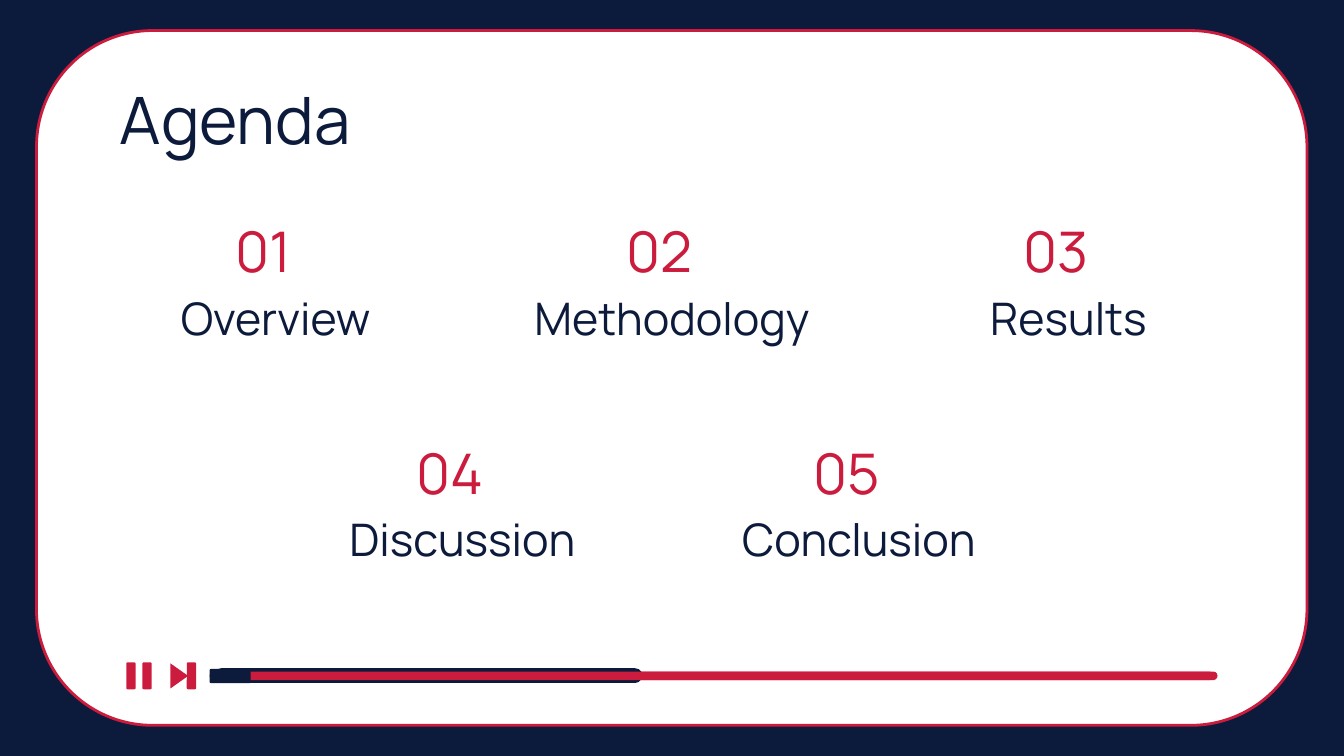
from pptx import Presentation
from pptx.dml.color import RGBColor
from pptx.enum.shapes import MSO_SHAPE as SHAPE
from pptx.enum.text import MSO_ANCHOR as ANCHOR, MSO_AUTO_SIZE as AUTO, PP_ALIGN as ALIGN
from pptx.util import Pt

NAVY, RED, WHITE = "0C1A3C", "CB1C3E", "FFFFFF"
FONT = "Manrope"
INSET = 7.2
COLUMN_PITCH = 212.4
# left edge of the first label, top of the number, labels
ROWS = [
    (56.9, 116.6, ["Overview", "Methodology", "Results"]),
    (157, 235.4, ["Discussion", "Conclusion"]),
]


def paint(fill, color):
    fill.solid()
    fill.fore_color.rgb = RGBColor.from_string(color)


def add_bar(s, x, y, w, h, color, rounding=0.5, outline=None):
    sp = s.shapes.add_shape(SHAPE.ROUNDED_RECTANGLE, Pt(x), Pt(y), Pt(w), Pt(h))
    sp.adjustments[0] = rounding
    sp.shadow.inherit = False
    paint(sp.fill, color)
    if outline:
        paint(sp.line.fill, outline)
        sp.line.width = Pt(1.5)
    else:
        sp.line.fill.background()


def add_play_icon(s, x, y, w, h):
    builder = s.shapes.build_freeform(Pt(x), Pt(y))
    builder.add_line_segments([(Pt(x + w), Pt(y + h / 2)), (Pt(x), Pt(y + h))])
    sp = builder.convert_to_shape()
    sp.shadow.inherit = False
    paint(sp.fill, RED)
    sp.line.fill.background()


def write(sp, text, size, color, anchor, align):
    tf = sp.text_frame
    tf.word_wrap = True
    tf.auto_size = AUTO.NONE
    tf.vertical_anchor = anchor
    tf.margin_left = tf.margin_right = tf.margin_top = tf.margin_bottom = Pt(INSET)
    p = tf.paragraphs[0]
    p.text = text
    p.alignment = align
    p.font.name = FONT
    p.font.size = Pt(size)
    p.font.color.rgb = RGBColor.from_string(color)


def add_label(s, x, y, w, h, text, size, color, anchor):
    sp = s.shapes.add_textbox(Pt(x), Pt(y), Pt(w), Pt(h))
    write(sp, text, size, color, anchor, ALIGN.CENTER)


def add_title(s, text):
    """Fill the title placeholder and bring it in front of the frame."""
    sp = s.shapes.title
    sp.left, sp.top, sp.width, sp.height = Pt(56.9), Pt(35.3), Pt(607), Pt(45.4)
    write(sp, text, 35, NAVY, ANCHOR.TOP, ALIGN.LEFT)
    sp.element.getparent().append(sp.element)


def add_agenda(s):
    number = 0
    for left, top, labels in ROWS:
        for col, label in enumerate(labels):
            number += 1
            x = left + col * COLUMN_PITCH
            add_label(s, x + 55.4, top, 57.6, 35.3, f"{number:02}", 30, RED, ANCHOR.MIDDLE)
            add_label(s, x, top + 43.9, 181.4, 31, label, 24, NAVY, ANCHOR.BOTTOM)


def add_player(s):
    add_bar(s, 114.5, 359.8, 537.8, 4.6, RED)
    add_bar(s, 114.5, 358, 229.7, 7.9, NAVY)
    for x in (67.7, 76.3, 100.1):
        add_bar(s, x, 354.9, 5, 14.4, RED, 0.14)
    add_play_icon(s, 91.3, 355.4, 9.5, 13.4)
    add_bar(s, 112.3, 359.8, 537.8, 4.6, RED)
    add_bar(s, 112.3, 358.4, 22, 7.6, NAVY, 0.1)


def main():
    prs = Presentation()
    prs.slide_width, prs.slide_height = Pt(720), Pt(405)
    s = prs.slides.add_slide(prs.slide_layouts[5])
    paint(s.background.fill, NAVY)
    add_bar(s, 19.6, 16.4, 680.6, 372.2, WHITE, 0.167, RED)
    add_player(s)
    add_title(s, "Agenda")
    add_agenda(s)
    prs.save("out.pptx")


if __name__ == "__main__":
    main()
